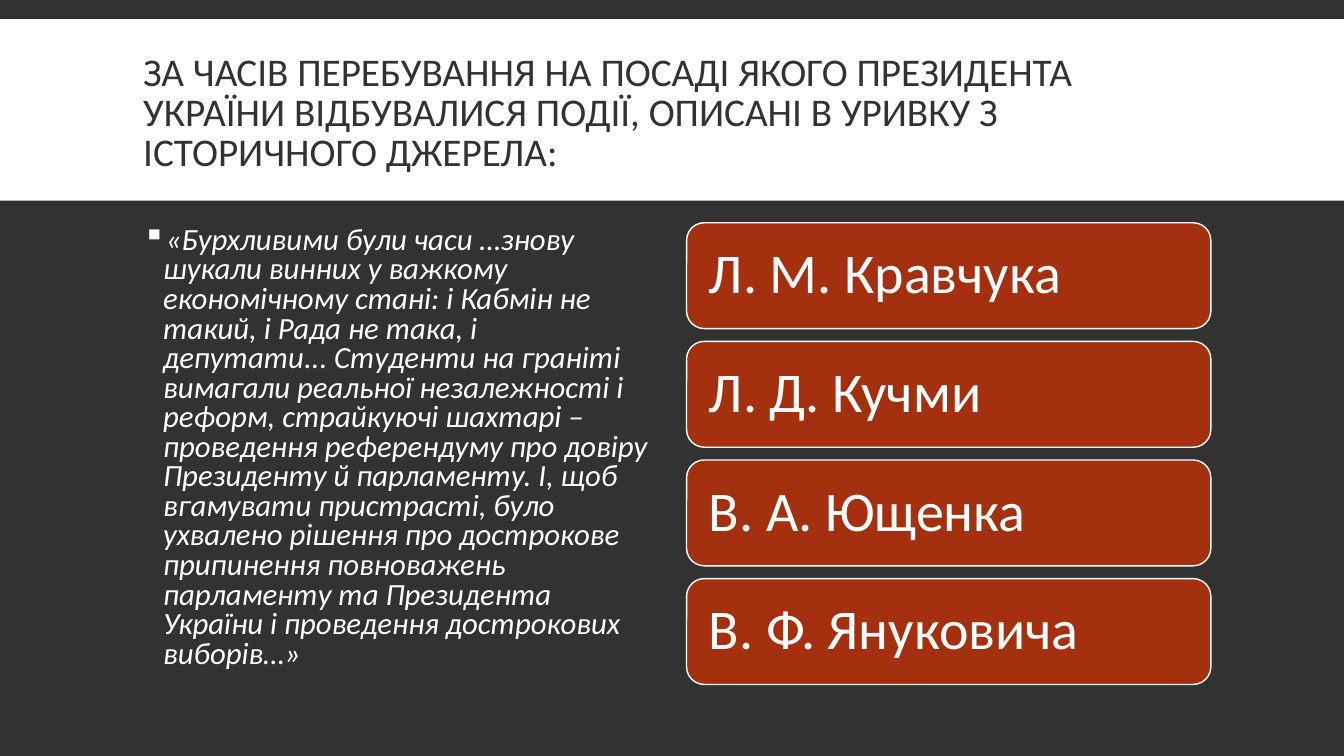
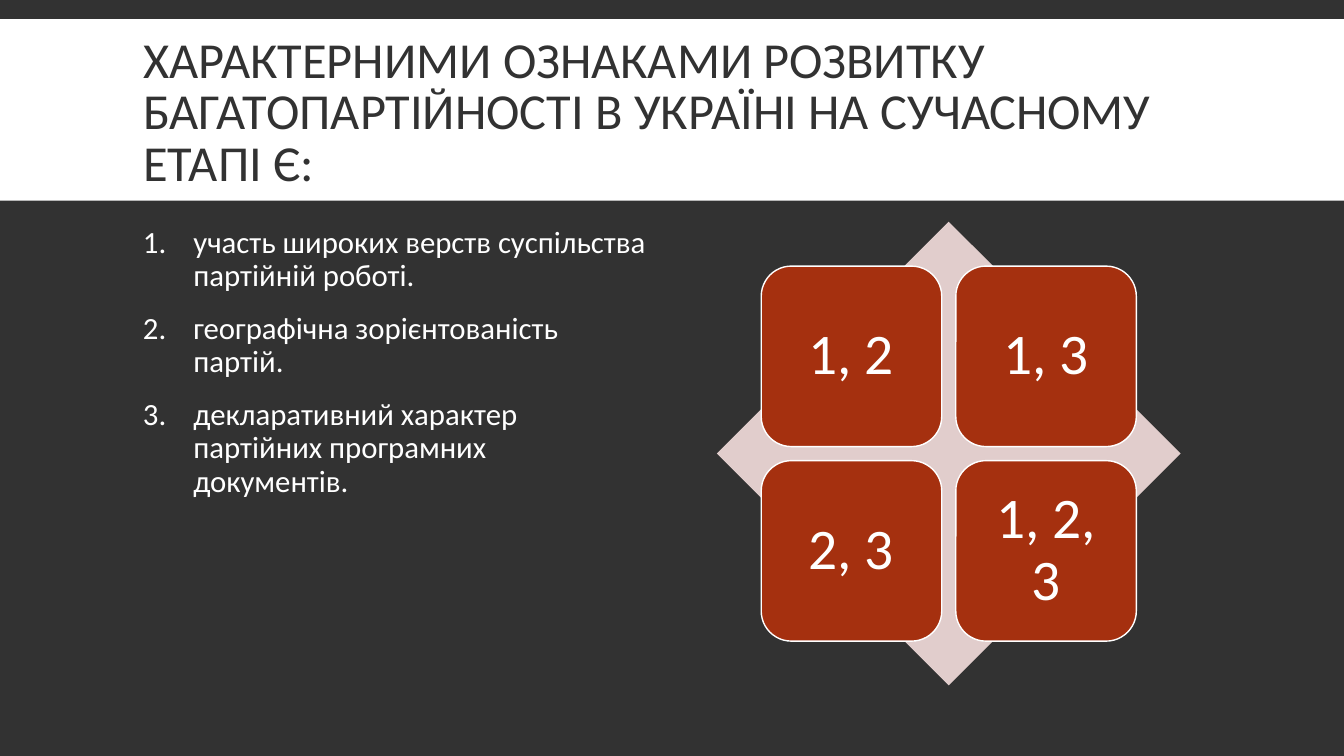
from dataclasses import dataclass

from lxml import etree
from pptx import Presentation
from pptx import util as u
from pptx.dml.color import RGBColor
from pptx.enum import shapes, text
from pptx.oxml import ns

SCALE = 9144  # EMU in one px, 100 px to the inch
FONT = "Calibri"
DARK, WHITE, RED, PINK = "323232", "FFFFFF", "A5300F", "E1CDCC"


@dataclass(frozen=True)
class Box:
    left: float
    top: float
    width: float
    height: float

    def emu(self) -> list[u.Emu]:
        return [px(v) for v in (self.left, self.top, self.width, self.height)]


@dataclass(frozen=True)
class ListStyle:
    bullet: str  # XML tag of the bullet
    attrs: dict[str, str]
    indent: int
    spacing: float
    italic: bool = False


@dataclass(frozen=True)
class Answer:
    label: str
    box: Box


BAND = Box(0, 19, 1333, 180)
TITLE = Box(132, 31, 1070, 165)
BODY = Box(132, 220, 520, 460)
QUOTE = ListStyle("a:buChar", {"char": "▪"}, 20, 0.8, italic=True)
NUMBERED = ListStyle("a:buAutoNum", {"type": "arabicPeriod"}, 50, 0.9)


def px(value: float) -> u.Emu:
    return u.Emu(round(value * SCALE))


def rgb(value: str) -> RGBColor:
    return RGBColor.from_string(value)


def add_run(p, words: str, size: int, color: str = WHITE, italic: bool = False) -> None:
    r = p.add_run()
    r.text = words
    r.font.name, r.font.size = FONT, u.Pt(size)
    r.font.color.rgb = rgb(color)
    r.font.italic = italic


def add_shape(s, kind, box: Box, fill: str, line: str | None = None):
    sp = s.shapes.add_shape(kind, *box.emu())
    sp.shadow.inherit = False
    sp.fill.solid()
    sp.fill.fore_color.rgb = rgb(fill)
    if line:
        sp.line.color.rgb = rgb(line)
        sp.line.width = u.Pt(1)
    else:
        sp.line.fill.background()
    return sp


def add_titled_slide(prs, title: str, size: int):
    s = prs.slides.add_slide(prs.slide_layouts[5])
    band = add_shape(s, shapes.MSO_SHAPE.RECTANGLE, BAND, WHITE)
    s.shapes._spTree.insert(2, band._element)  # behind the title
    sp = s.shapes.title
    sp.left, sp.top, sp.width, sp.height = TITLE.emu()
    tf = sp.text_frame
    tf.word_wrap = True
    tf.auto_size = text.MSO_AUTO_SIZE.NONE
    tf.vertical_anchor = text.MSO_ANCHOR.MIDDLE
    p = tf.paragraphs[0]
    p.alignment = text.PP_ALIGN.LEFT
    p.line_spacing = 0.85
    add_run(p, title, size, DARK)
    return s


def set_bullet(p, style: ListStyle) -> None:
    pPr = p._p.get_or_add_pPr()
    pPr.set("marL", str(px(style.indent)))
    pPr.set("indent", str(-px(style.indent)))
    color = etree.SubElement(pPr, ns.qn("a:buClr"))
    etree.SubElement(color, ns.qn("a:srgbClr"), val=WHITE)
    etree.SubElement(pPr, ns.qn(style.bullet), **style.attrs)


def add_body(s, items: list[str], style: ListStyle) -> None:
    tf = s.shapes.add_textbox(*BODY.emu()).text_frame
    tf.word_wrap = True
    for i, item in enumerate(items):
        p = tf.add_paragraph() if i else tf.paragraphs[0]
        set_bullet(p, style)
        p.line_spacing = style.spacing
        p.space_before = u.Pt(12 if i else 0)
        p.space_after = u.Pt(2)
        add_run(p, item, 22, italic=style.italic)


def add_answer(s, answer: Answer, size: int, align) -> None:
    sp = add_shape(s, shapes.MSO_SHAPE.ROUNDED_RECTANGLE, answer.box, RED, WHITE)
    tf = sp.text_frame
    tf.word_wrap = True
    tf.vertical_anchor = text.MSO_ANCHOR.MIDDLE
    tf.margin_left = tf.margin_right = tf.margin_top = tf.margin_bottom = px(17)
    p = tf.paragraphs[0]
    p.alignment = align
    p.line_spacing = 0.9
    add_run(p, answer.label, size)


def build_president_slide(prs) -> None:
    s = add_titled_slide(
        prs,
        "ЗА ЧАСІВ ПЕРЕБУВАННЯ НА ПОСАДІ ЯКОГО ПРЕЗИДЕНТА УКРАЇНИ "
        "ВІДБУВАЛИСЯ ПОДІЇ, ОПИСАНІ В УРИВКУ З ІСТОРИЧНОГО ДЖЕРЕЛА:",
        28,
    )
    add_body(s, [
        "«Бурхливими були часи …знову шукали винних у важкому економічному "
        "стані: і Кабмін не такий, і Рада не така, і депутати... Студенти на "
        "граніті вимагали реальної незалежності і реформ, страйкуючі шахтарі – "
        "проведення референдуму про довіру Президенту й парламенту. І, щоб "
        "вгамувати пристрасті, було ухвалено рішення про дострокове припинення "
        "повноважень парламенту та Президента України і проведення "
        "дострокових виборів…»",
    ], QUOTE)

    # Stack of answers, spread evenly
    names = ["Л. М. Кравчука", "Л. Д. Кучми", "В. А. Ющенка", "В. Ф. Януковича"]
    height, stack = 105, 458
    pitch = (stack - height) / (len(names) - 1)
    for i, name in enumerate(names):
        box = Box(681, 221 + i * pitch, 520, height)
        add_answer(s, Answer(name, box), 40, text.PP_ALIGN.LEFT)


def build_parties_slide(prs) -> None:
    s = add_titled_slide(
        prs,
        "ХАРАКТЕРНИМИ ОЗНАКАМИ РОЗВИТКУ БАГАТОПАРТІЙНОСТІ В УКРАЇНІ "
        "НА СУЧАСНОМУ ЕТАПІ Є:",
        36,
    )
    add_body(s, [
        "участь широких верств суспільства партійній роботі.",
        "географічна зорієнтованість партій.",
        "декларативний характер партійних програмних документів.",
    ], NUMBERED)

    # Two by two answers over a diamond
    add_shape(s, shapes.MSO_SHAPE.DIAMOND, Box(711, 220, 460, 460), PINK)
    side, pitch = 179, 193
    for i, label in enumerate(["1, 2", "1, 3", "2, 3", "1, 2, 3"]):
        row, col = divmod(i, 2)
        box = Box(755 + col * pitch, 264 + row * pitch, side, side)
        add_answer(s, Answer(label, box), 41, text.PP_ALIGN.CENTER)


def main() -> None:
    prs = Presentation()
    prs.slide_width, prs.slide_height = px(1333), px(750)
    background = prs.slide_master.background.fill
    background.solid()
    background.fore_color.rgb = rgb(DARK)
    build_president_slide(prs)
    build_parties_slide(prs)
    prs.save("out.pptx")


if __name__ == "__main__":
    main()
